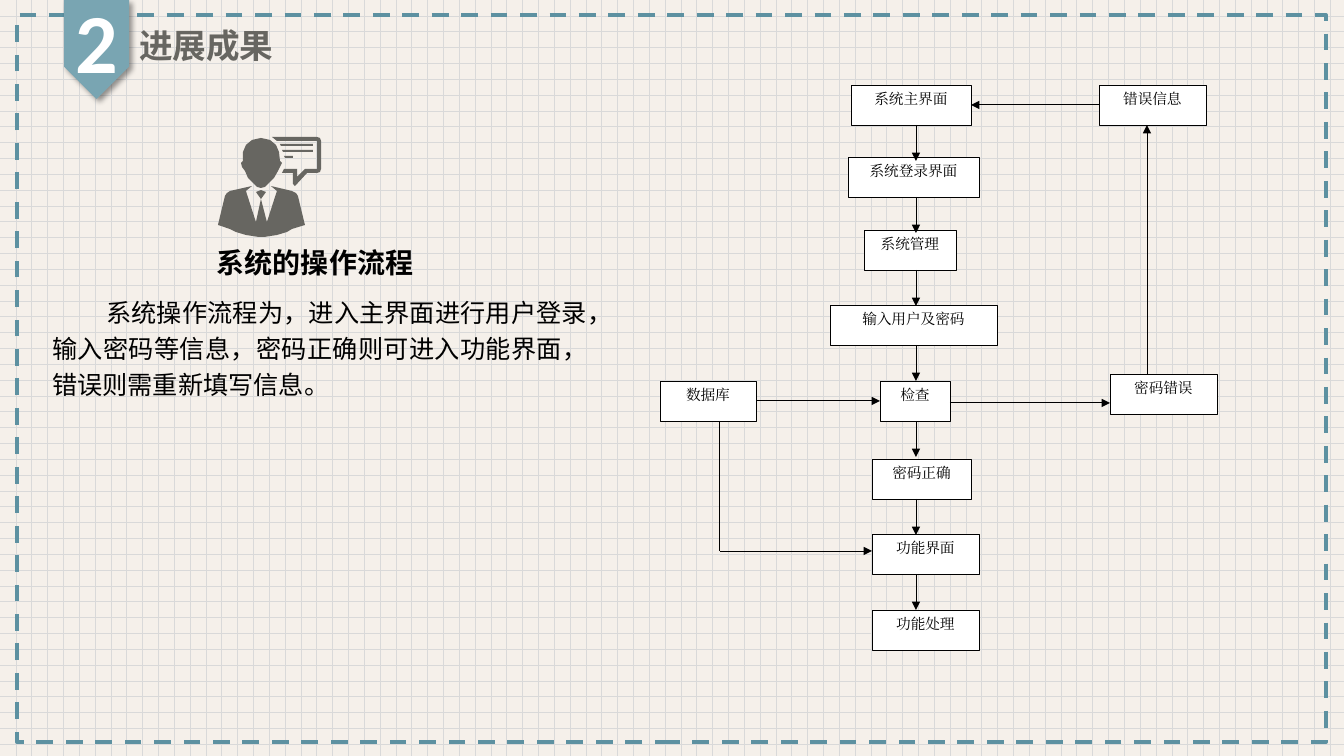
"""Build the progress slide: heading, summary text and the system's operation flowchart."""
from lxml import etree
from pptx import Presentation, util as u
from pptx.dml.color import RGBColor
from pptx.enum import dml, shapes, text
from pptx.oxml.ns import qn

PX = 914400 / 100.8
BLACK = RGBColor(0x00, 0x00, 0x00)
WHITE = RGBColor(0xFF, 0xFF, 0xFF)
GREY = RGBColor(0x67, 0x66, 0x61)
TEAL = RGBColor(0x79, 0xA5, 0xB2)
FRAME = RGBColor(0x5D, 0x91, 0xA1)
CREAM = RGBColor(0xF5, 0xF0, 0xEA)
GRID = RGBColor(0xD9, 0xD9, 0xD9)


def px(*lengths):
    return [u.Emu(round(n * PX)) for n in lengths]


def write(sp, words, size, font, color, bold=False, align=text.PP_ALIGN.LEFT, wrap=False):
    tf = sp.text_frame
    p = tf.paragraphs[0]
    r = p.add_run()
    formats = [
        (tf, {"word_wrap": wrap, "auto_size": text.MSO_AUTO_SIZE.NONE,
              "vertical_anchor": text.MSO_ANCHOR.TOP}),
        (p, {"alignment": align}),
        (r, {"text": words}),
        (r.font, {"size": u.Pt(size), "name": font, "bold": bold}),
        (r.font.color, {"rgb": color}),
    ]
    for target, values in formats:
        for name, value in values.items():
            setattr(target, name, value)
    etree.SubElement(r.font._element, qn("a:ea"), typeface=font)
    return p


prs = Presentation()
prs.slide_width, prs.slide_height = px(1344, 756)
s = prs.slides.add_slide(prs.slide_layouts[1])
fill = s.background.fill
fill.patterned()
fill.pattern = dml.MSO_PATTERN.DOTTED_GRID
fill.fore_color.rgb = GRID
fill.back_color.rgb = CREAM

title, body = s.placeholders
for sp, box in ((title, (129, 20, 156, 50)), (body, (42, 286, 556, 118))):
    sp.left, sp.top, sp.width, sp.height = px(*box)
write(title, "进展成果", 24, "Noto Sans CJK SC", GREY, bold=True)
p = write(body, "系统操作流程为，进入主界面进行用户登录，输入密码等信息，密码正确则可进入功能界面，错误则需重新填写信息。",
          18, "Calibri", BLACK, align=text.PP_ALIGN.JUSTIFY, wrap=True)
p.line_spacing = 1.2
p.space_before = u.Pt(0)
pPr = p._p.get_or_add_pPr()
pPr.set("marL", "0")
pPr.set("indent", str(px(54)[0]))
etree.SubElement(pPr, qn("a:buNone"))

frame = s.shapes.add_shape(shapes.MSO_SHAPE.RECTANGLE, *px(17, 15, 1309, 727))
frame.shadow.inherit = False
frame.fill.background()
frame.line.color.rgb = FRAME
frame.line.width = u.Pt(3)
frame.line.dash_style = dml.MSO_LINE.DASH

ribbon = s.shapes.add_shape(shapes.MSO_SHAPE.PENTAGON, *px(47, 17, 99, 65))
ribbon.rotation = 90
ribbon.fill.solid()
ribbon.fill.fore_color.rgb = TEAL
ribbon.line.fill.background()
ribbon.shadow.inherit = False
shadow = etree.SubElement(ribbon._element.spPr.find(qn("a:effectLst")), qn("a:outerShdw"),
                          blurRad=str(u.Pt(4)), dist=str(u.Pt(3)), dir="2700000",
                          algn="tl", rotWithShape="0")
shade = etree.SubElement(shadow, qn("a:srgbClr"), val="000000")
etree.SubElement(shade, qn("a:alpha"), val="40000")

number = s.shapes.add_textbox(*px(66, -15, 64, 112))
write(number, "2", 60, "Calibri", WHITE, bold=True)
heading = s.shapes.add_textbox(*px(207, 241, 220, 44))
write(heading, "系统的操作流程", 20, "Noto Sans CJK SC", BLACK, bold=True)

suit = [(298, 196), (296, 193), (292, 191), (271, 186), (277, 191), (267, 222), (261, 199),
        (256, 222), (246, 191), (252, 186), (230, 191), (227, 193), (225, 196), (218, 225),
        (230, 229), (236, 232), (246, 235), (259, 237), (264, 237), (277, 235), (287, 232),
        (292, 229), (305, 225)]
tie = [(261, 190), (256, 192), (261, 199), (266, 192)]
head = [(280, 161), (279, 152), (276, 145), (270, 140), (261, 138), (252, 140), (246, 145),
        (243, 152), (243, 161), (241, 163), (242, 167), (245, 171), (248, 178), (253, 183),
        (257, 187), (261, 188), (265, 187), (269, 183), (274, 178), (278, 171), (280, 167),
        (282, 163)]
bubble = [(320, 138), (317, 137), (272, 137), (277, 141), (317, 141), (317, 169), (305, 169),
          (297, 177), (297, 169), (284, 169), (282, 173), (293, 173), (293, 184), (295, 186),
          (307, 173), (317, 173), (320, 172), (321, 169), (321, 141)]
bubble_lines = [[(right, y), (left, y), (left + 1, y + 2), (right, y + 2)]
                for left, right, y in ((280, 313, 144), (282, 313, 150), (284, 293, 156))]
for outline in [suit, tie, head, bubble, *bubble_lines]:
    builder = s.shapes.build_freeform(*outline[0], scale=PX)
    builder.add_line_segments(outline[1:], close=True)
    sp = builder.convert_to_shape()
    sp.shadow.inherit = False
    sp.fill.solid()
    sp.fill.fore_color.rgb = GREY
    sp.line.fill.background()

STEP_H, ARROW_H = 40, 36
main_steps = [
    ("系统主界面", 851, 85, 120), ("系统登录界面", 848, 157, 131), ("系统管理", 864, 230, 92),
    ("输入用户及密码", 830, 305, 167), ("检查", 880, 381, 70), ("密码正确", 872, 459, 99),
    ("功能界面", 872, 534, 107), ("功能处理", 872, 610, 107),
]
side_steps = [("错误信息", 1099, 85, 107), ("密码错误", 1110, 374, 107), ("数据库", 660, 381, 96)]
for label, x, y, width in main_steps + side_steps:
    sp = s.shapes.add_shape(shapes.MSO_SHAPE.RECTANGLE, *px(x, y, width, STEP_H))
    sp.shadow.inherit = False
    sp.fill.solid()
    sp.fill.fore_color.rgb = WHITE
    sp.line.color.rgb = BLACK
    sp.line.width = u.Pt(0.25)
    write(sp, label, 10.5, "Times New Roman", BLACK, align=text.PP_ALIGN.CENTER, wrap=True)

flows = [(916, y + STEP_H, 916, y + STEP_H + ARROW_H, 0.25, True)
         for _, _, y, _ in main_steps[:-1]]
flows += [
    (1099, 105, 971, 105, 0.75, True),
    (756, 401, 880, 401, 0.75, True),
    (950, 403, 1110, 403, 0.75, True),
    (1147, 374, 1147, 125, 0.25, True),
    (720, 551, 872, 551, 0.25, True),
    (720, 421, 720, 551, 0.75, False),
]
for x1, y1, x2, y2, weight, arrow in flows:
    flow = s.shapes.add_connector(shapes.MSO_CONNECTOR.STRAIGHT, *px(x1, y1, x2, y2))
    flow.line.color.rgb = BLACK
    flow.line.width = u.Pt(weight)
    if arrow:
        etree.SubElement(flow.line._get_or_add_ln(), qn("a:tailEnd"), type="triangle")
    etree.SubElement(flow._element.spPr, qn("a:effectLst"))

prs.save("out.pptx")
